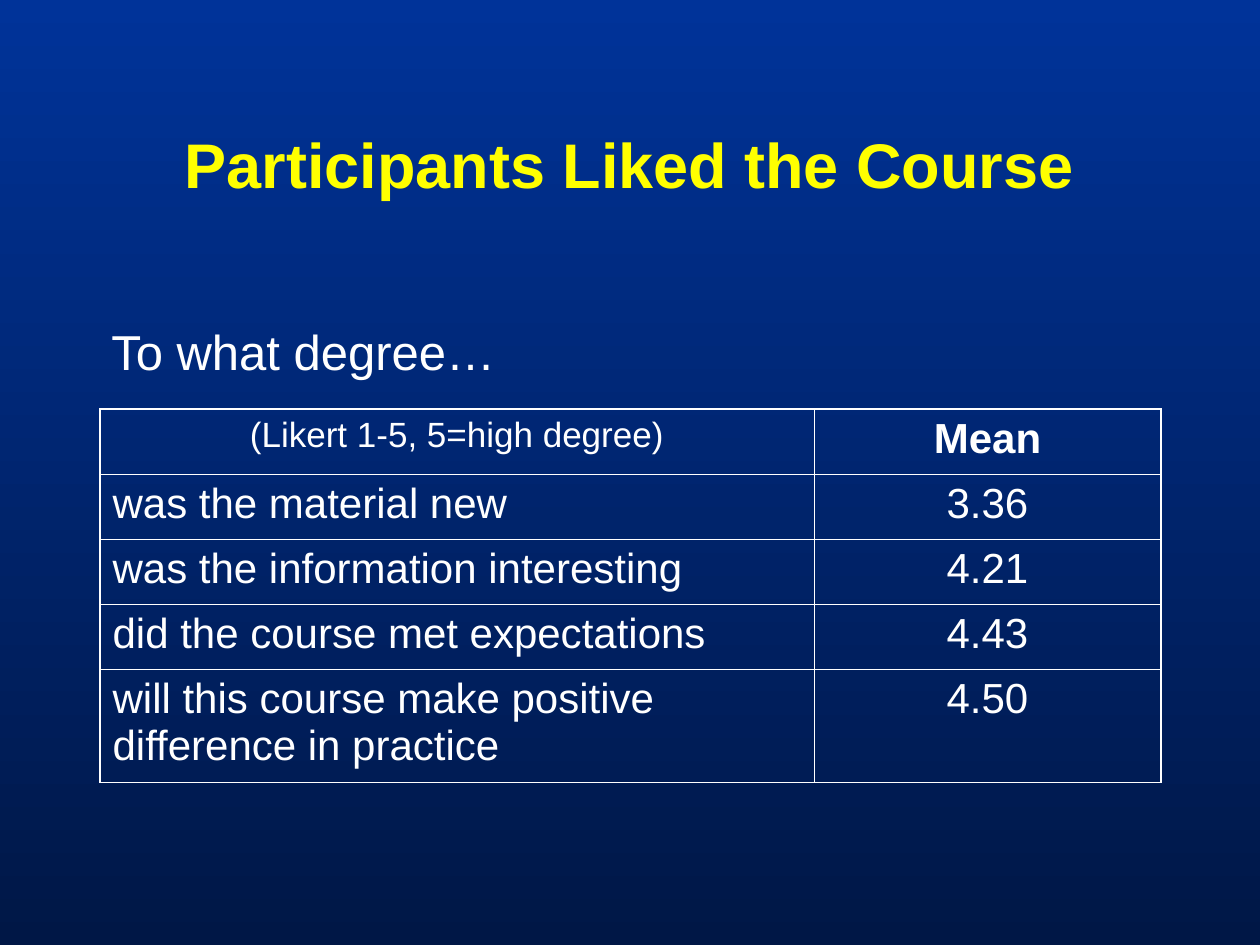
"""Build the course rating slide with its table of mean scores."""
from lxml import etree
from pptx import Presentation
from pptx.dml.color import RGBColor
from pptx.enum.text import MSO_ANCHOR, PP_ALIGN
from pptx.oxml.ns import qn
from pptx.util import Emu, Pt

LEFT, CENTER = PP_ALIGN.LEFT, PP_ALIGN.CENTER
MIDDLE = MSO_ANCHOR.MIDDLE
WHITE = RGBColor(0xFF, 0xFF, 0xFF)
YELLOW = RGBColor(0xFF, 0xFF, 0x00)
BLUE = RGBColor(0x00, 0x33, 0x99)
NAVY = RGBColor(0x00, 0x17, 0x46)
FONT = "Arial"
THIN, THICK = Pt(0.45), Pt(1.08)

TITLE = "Participants Liked the Course"
LEAD = "To what degree…"
HEAD = [("(Likert 1-5, 5=high degree)", 20, False, CENTER), ("Mean", 24, True, CENTER)]
SCORES = [
    ("was the material new", "3.36"),
    ("was the information interesting", "4.21"),
    ("did the course met expectations", "4.43"),
    ("will this course make positive difference in practice", "4.50"),
]
ROWS = [HEAD] + [
    [(item, 24, False, LEFT), (mean, 24, False, CENTER)] for item, mean in SCORES
]
WIDTHS = [714, 347]
HEIGHTS = [65, 65, 65, 65, 113]
EDGE = 99


def px(*sizes):
    return [Emu(round(size * 914400 / 126)) for size in sizes]


def write(frame, text, size, bold=False, align=LEFT, color=WHITE):
    para = frame.paragraphs[0]
    para.alignment = align
    run = para.add_run()
    run.text = text
    font = run.font
    font.name, font.size, font.bold = FONT, Pt(size), bold
    font.color.rgb = color


def border(cell, sides):
    props = cell._tc.get_or_add_tcPr()
    for side, outer in sides:
        line = etree.SubElement(props, qn(f"a:ln{side}"), w=str(THICK if outer else THIN))
        fill = etree.SubElement(line, qn("a:solidFill"))
        etree.SubElement(fill, qn("a:srgbClr"), val=str(WHITE))


def add_scores(slide):
    spot = px(EDGE + 1, 409, sum(WIDTHS), sum(HEIGHTS))
    table = slide.shapes.add_table(len(ROWS), len(WIDTHS), *spot).table
    table.first_row = table.horz_banding = False
    for col, width in zip(table.columns, px(*WIDTHS)):
        col.width = width
    for row, height in zip(table.rows, px(*HEIGHTS)):
        row.height = height
    for r, cells in enumerate(ROWS):
        for c, (text, size, bold, align) in enumerate(cells):
            cell = table.cell(r, c)
            write(cell.text_frame, text, size, bold, align)
            border(cell, [
                ("L", c == 0),
                ("R", c == len(WIDTHS) - 1),
                ("T", r == 0),
                ("B", r == len(ROWS) - 1),
            ])
            cell.fill.background()


def main():
    deck = Presentation()
    deck.slide_width, deck.slide_height = px(1260, 945)
    slide = deck.slides.add_slide(deck.slide_layouts[5])
    back = slide.background.fill
    back.gradient()
    back.gradient_angle = 270
    for stop, color, place in zip(back.gradient_stops, (BLUE, NAVY), (0, 1)):
        stop.color.rgb = color
        stop.position = place

    title = slide.shapes.title
    title.left, title.top, title.width, title.height = px(94, 84, 1071, 158)
    title.text_frame.vertical_anchor = MIDDLE
    write(title.text_frame, TITLE, 36, True, CENTER, YELLOW)

    lead = slide.shapes.add_textbox(*px(EDGE, 315, 1061, 94)).text_frame
    lead.word_wrap = True
    write(lead, LEAD, 28)

    add_scores(slide)
    deck.save("out.pptx")


if __name__ == "__main__":
    main()
